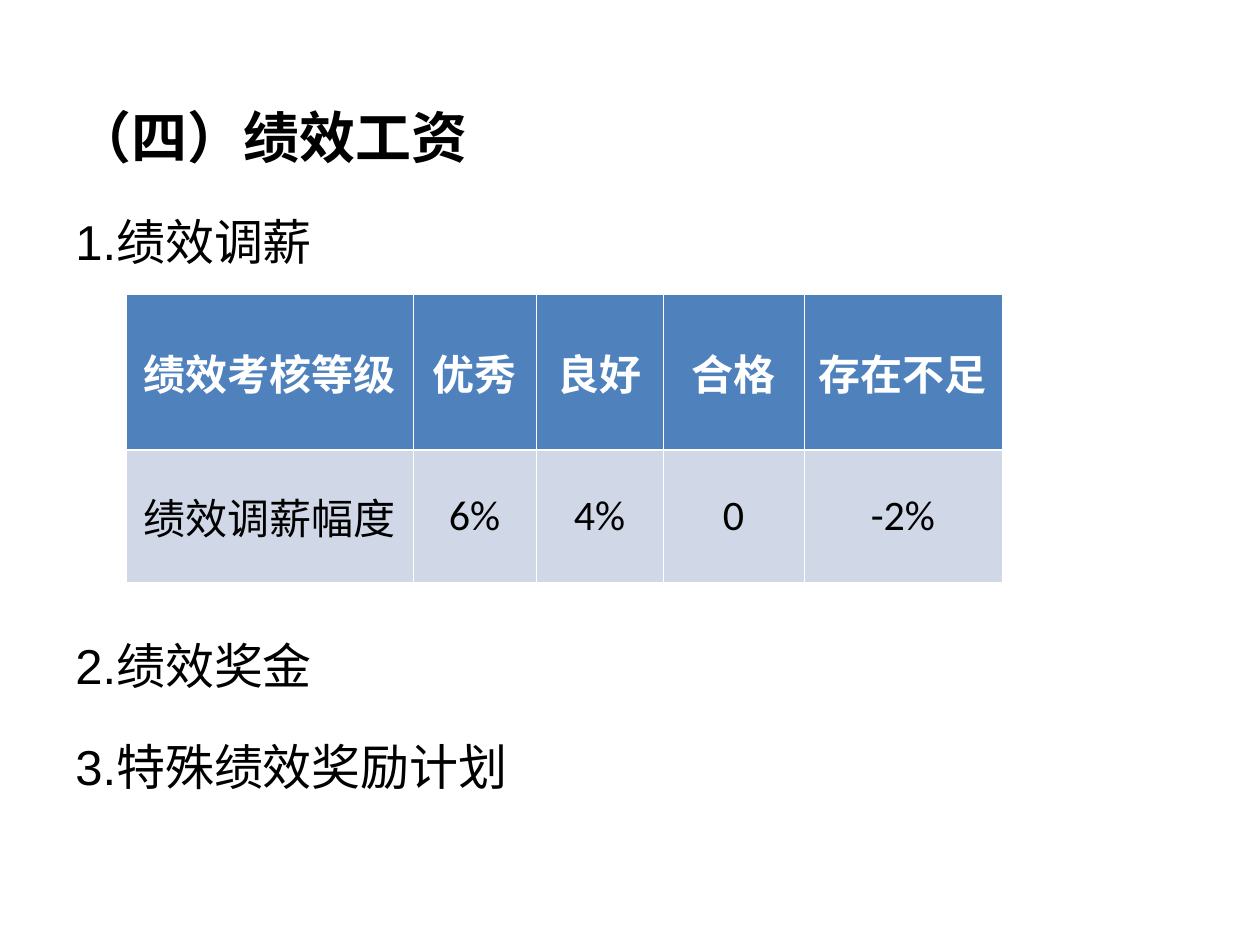
from dataclasses import dataclass

from lxml import etree
from pptx import Presentation
from pptx.dml.color import RGBColor
from pptx.enum.text import MSO_ANCHOR, PP_ALIGN
from pptx.oxml.ns import qn
from pptx.util import Emu, Pt

CENTER = PP_ALIGN.CENTER
MIDDLE = MSO_ANCHOR.MIDDLE
TOP = MSO_ANCHOR.TOP
PX_PER_INCH = 126


@dataclass(frozen=True)
class Theme:
    ink: str = "000000"
    paper: str = "FFFFFF"
    header_fill: str = "4F81BD"
    body_fill: str = "D0D8E8"
    text_font: str = "Arial"
    table_font: str = "Calibri"
    title_size: int = 32
    item_size: int = 28
    cell_size: int = 24
    thin_line: float = 0.45
    thick_line: float = 1.47


THEME = Theme()


def px(length):
    return Emu(round(length * 914400 / PX_PER_INCH))


def add_span(para, text, font, size, color, bold=False):
    span = para.add_run()
    span.text = text
    span.font.name = font
    span.font.size = Pt(size)
    span.font.bold = bold
    span.font.color.rgb = RGBColor.from_string(color)


def add_outline(page, left, top, width, height, lines):
    """Each line is (text, size, bold, points of space before)."""
    box = page.shapes.add_textbox(px(left), px(top), px(width), px(height))
    frame = box.text_frame
    frame.word_wrap = True
    frame.vertical_anchor = TOP
    for index, (text, size, bold, gap) in enumerate(lines):
        para = frame.add_paragraph() if index else frame.paragraphs[0]
        para.line_spacing = 1.5
        if index:
            para.space_before = Pt(gap)
        # Hanging indent
        properties = para._p.get_or_add_pPr()
        properties.set("marL", str(px(48)))
        properties.set("indent", str(-px(48)))
        add_span(para, text, THEME.text_font, size, THEME.ink, bold)


def set_borders(cell, widths):
    properties = cell._tc.get_or_add_tcPr()
    for index, (side, width) in enumerate(widths.items()):
        line = etree.Element(qn(f"a:ln{side}"), w=str(Pt(width)))
        fill = etree.SubElement(line, qn("a:solidFill"))
        etree.SubElement(fill, qn("a:srgbClr"), val=THEME.paper)
        properties.insert(index, line)


def add_raise_table(page, left, top, column_widths, row_heights, rows):
    frame = page.shapes.add_table(
        len(rows), len(column_widths), px(left), px(top),
        px(sum(column_widths)), px(sum(row_heights)))
    table = frame.table
    for column, width in zip(table.columns, column_widths):
        column.width = px(width)
    for row, height in zip(table.rows, row_heights):
        row.height = px(height)

    for row_index, texts in enumerate(rows):
        header = row_index == 0
        # The thick line runs between the header and the body
        borders = dict.fromkeys("LRTB", THEME.thin_line)
        borders["B" if header else "T"] = THEME.thick_line
        fill = THEME.header_fill if header else THEME.body_fill
        color = THEME.paper if header else THEME.ink
        for column_index, text in enumerate(texts):
            cell = table.cell(row_index, column_index)
            cell.vertical_anchor = MIDDLE
            cell.fill.solid()
            cell.fill.fore_color.rgb = RGBColor.from_string(fill)
            set_borders(cell, borders)
            para = cell.text_frame.paragraphs[0]
            para.alignment = CENTER
            add_span(para, text, THEME.table_font, THEME.cell_size, color, header)


def main():
    deck = Presentation()
    deck.slide_width, deck.slide_height = px(1260), px(945)
    page = deck.slides.add_slide(deck.slide_layouts[6])

    # Heading and numbered items, with room left for the table
    add_outline(page, 63, 63, 620, 766, [
        ("（四）绩效工资", THEME.title_size, True, 0),
        ("1.绩效调薪", THEME.item_size, False, 7),
        ("2.绩效奖金", THEME.item_size, False, 192),
        ("3.特殊绩效奖励计划", THEME.item_size, False, 7),
    ])

    # Raise by performance grade
    add_raise_table(page, 126, 294, [287, 123, 127, 141, 198], [156, 132], [
        ["绩效考核等级", "优秀", "良好", "合格", "存在不足"],
        ["绩效调薪幅度", "6%", "4%", "0", "-2%"],
    ])
    deck.save("out.pptx")


if __name__ == "__main__":
    main()
